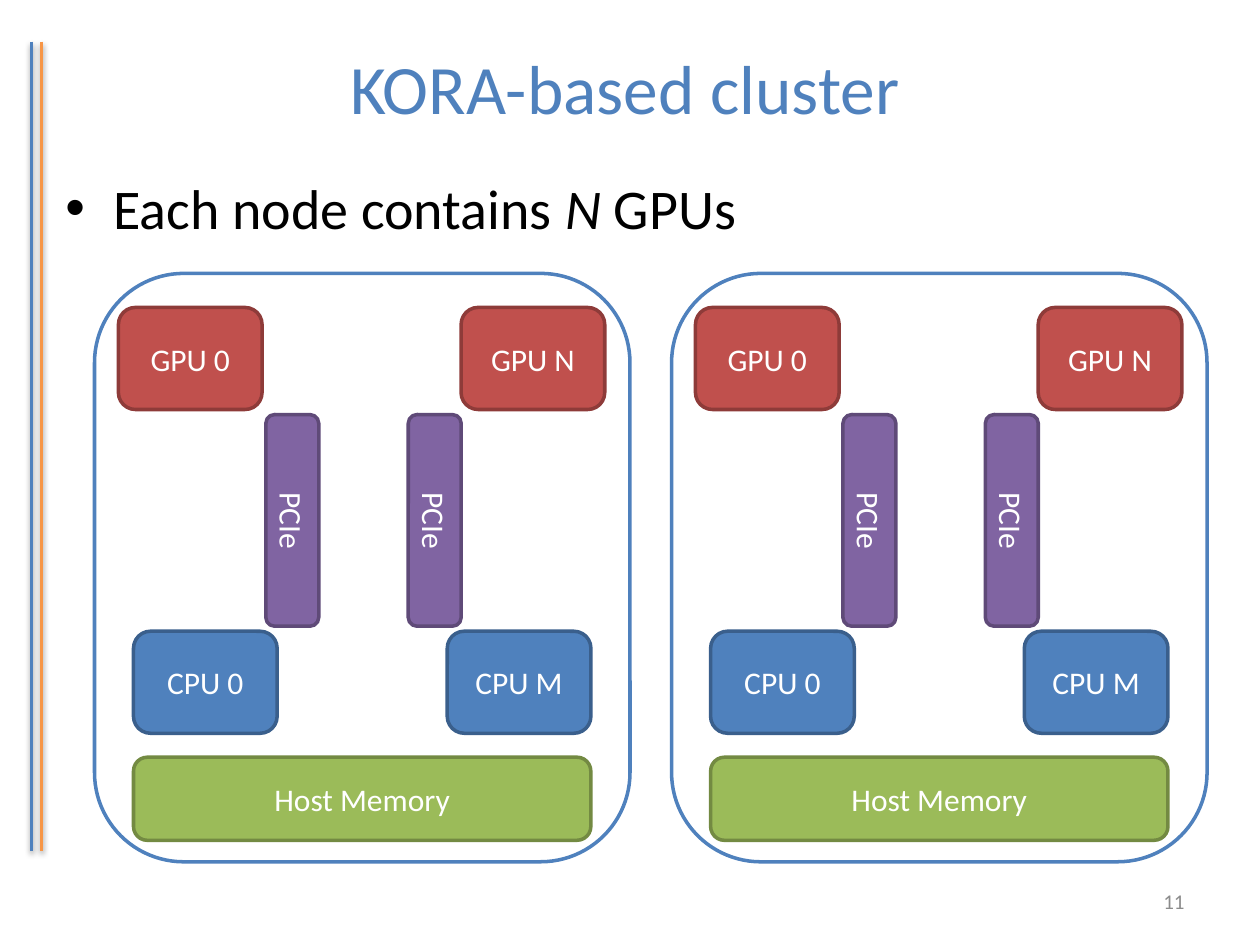
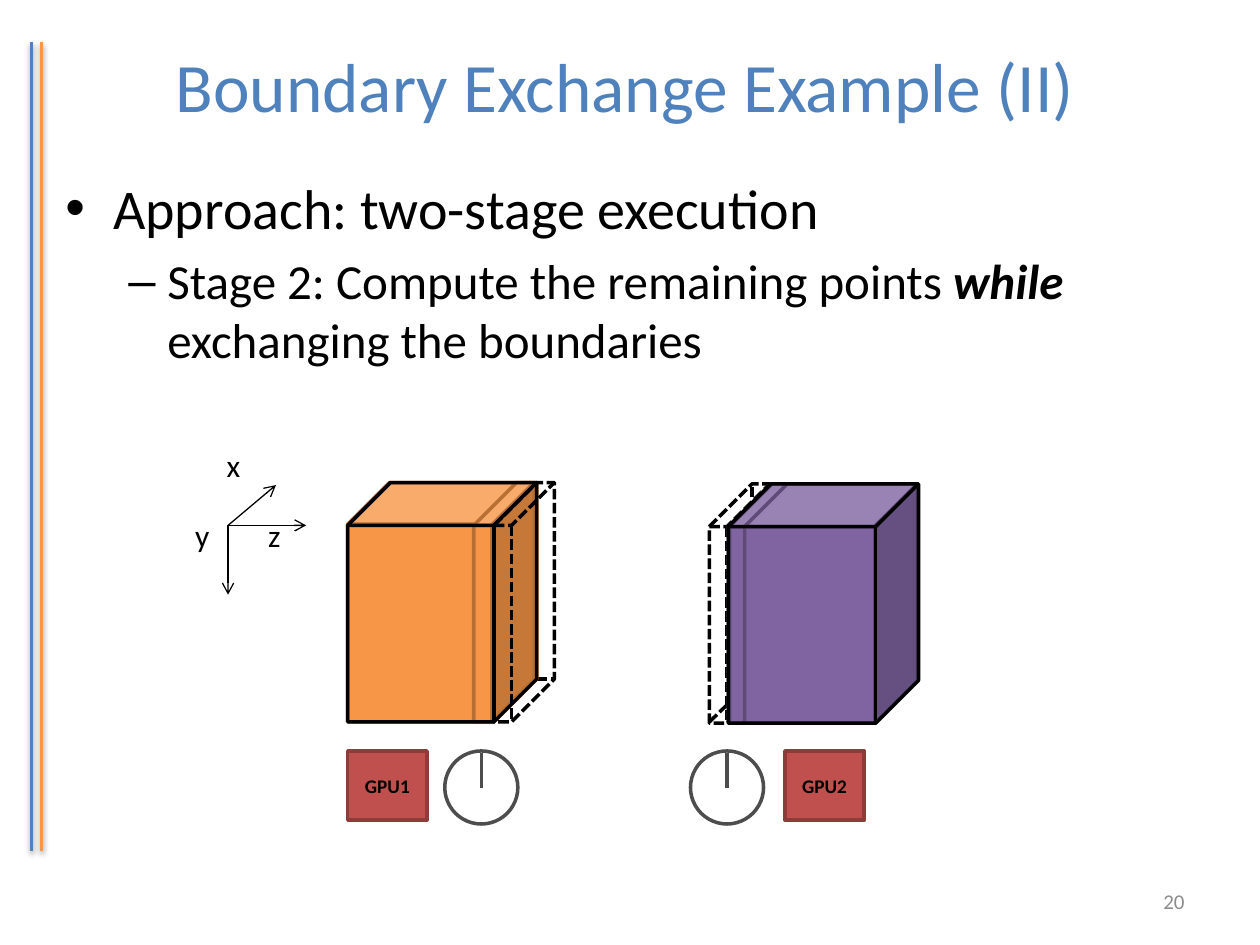
from lxml import etree
from pptx import Presentation
from pptx import util as u
from pptx.dml.color import RGBColor
from pptx.enum import dml, shapes, text
from pptx.oxml.ns import qn

PX = 9144
FONT = "Calibri"
KIND = shapes.MSO_SHAPE
MIDDLE = text.MSO_ANCHOR.MIDDLE
TOP = text.MSO_ANCHOR.TOP
CENTER = text.PP_ALIGN.CENTER
COLORS = {
    "blue": "4F81BD", "blue_edge": "3A5F8C",
    "orange": "F79646", "orange_edge": "B76F34",
    "red": "C0504D", "red_edge": "8E3B39",
    "purple": "8064A2", "purple_edge": "5F4A78",
    "green": "9BBB59", "green_edge": "738A42",
    "black": "000000", "white": "FFFFFF",
    "clock": "4D4D4D", "number": "8C8C8C",
}
BULLETS = [("•", 38, -38), ("–", 81, -31)]


def rgb(name):
    return RGBColor.from_string(COLORS[name])


def px(*values):
    return [v * PX for v in values]


def add_run(p, words, size, color="black", bold=False, italic=False):
    r = p.add_run()
    r.text = words
    r.font.name = FONT
    r.font.size = u.Pt(size)
    r.font.bold = bold
    r.font.italic = italic
    r.font.color.rgb = rgb(color)


def style_line(line, color, weight, dashed=False):
    line.color.rgb = rgb(color)
    line.width = u.Pt(weight)
    if dashed:
        line.dash_style = dml.MSO_LINE.SQUARE_DOT


def add_shape(parts, kind, box, fill, edge, dashed=False, adj=None):
    s = parts.add_shape(kind, *px(*box))
    s.shadow.inherit = False
    if fill:
        s.fill.solid()
        s.fill.fore_color.rgb = rgb(fill)
    else:
        s.fill.background()
    style_line(s.line, edge, 2, dashed)
    if adj is not None:
        s.adjustments[0] = adj
    return s


def add_block(parts, kind, box, color, words, size=18, ink="white", bold=False):
    s = add_shape(parts, kind, box, color, color + "_edge")
    tf = s.text_frame
    tf.vertical_anchor = MIDDLE
    tf.paragraphs[0].alignment = CENTER
    add_run(tf.paragraphs[0], words, size, ink, bold)
    return s


def add_line(parts, start, end, color, weight=2, dashed=False, arrow=False, shadow=False):
    c = parts.add_connector(shapes.MSO_CONNECTOR.STRAIGHT, *px(*start, *end))
    style_line(c.line, color, weight, dashed)
    spPr = c._element.spPr
    if arrow:
        etree.SubElement(spPr.find(qn("a:ln")), qn("a:tailEnd"), type="arrow")
    effects = etree.SubElement(spPr, qn("a:effectLst"))
    if shadow:
        outer = etree.SubElement(effects, qn("a:outerShdw"), blurRad="40000",
                                 dist="20000", dir="5400000", rotWithShape="0")
        ink = etree.SubElement(outer, qn("a:srgbClr"), val=COLORS["black"])
        etree.SubElement(ink, qn("a:alpha"), val="38000")


def add_text(parts, box, anchor=TOP, wrap=True):
    tf = parts.add_textbox(*px(*box)).text_frame
    tf.word_wrap = wrap
    tf.vertical_anchor = anchor
    return tf


def add_body(slide, box, paragraphs):
    tf = add_text(slide.shapes, box)
    for i, (level, runs) in enumerate(paragraphs):
        p = tf.add_paragraph() if i else tf.paragraphs[0]
        p.level = level
        mark, margin, indent = BULLETS[level]
        pPr = p._p.get_or_add_pPr()
        pPr.set("marL", str(margin * PX))
        pPr.set("indent", str(indent * PX))
        before = etree.SubElement(pPr, qn("a:spcBef"))
        etree.SubElement(before, qn("a:spcPct"), val="20000")
        etree.SubElement(pPr, qn("a:buFont"), typeface="Arial")
        etree.SubElement(pPr, qn("a:buChar"), char=mark)
        for words, bold, italic in runs:
            add_run(p, words, 28 if level else 32, bold=bold, italic=italic)


def add_slide(prs, title, number, anchor, margins):
    slide = prs.slides.add_slide(prs.slide_layouts[5])
    for x, color in ((25, "blue"), (33, "orange")):
        add_line(slide.shapes, (x, 33), (x, 675), color, shadow=True)
    s = slide.shapes.title
    s.left, s.top, s.width, s.height = px(42, 30, 908, 78)
    tf = s.text_frame
    tf.auto_size = text.MSO_AUTO_SIZE.NONE
    tf.word_wrap = True
    tf.vertical_anchor = anchor
    tf.margin_left = tf.margin_right = margins[0] * PX
    tf.margin_top = tf.margin_bottom = margins[1] * PX
    tf.paragraphs[0].alignment = CENTER
    add_run(tf.paragraphs[0], title, 39.6, "blue")
    p = add_text(slide.shapes, (892, 695, 58, 40), MIDDLE).paragraphs[0]
    p.alignment = text.PP_ALIGN.RIGHT
    add_run(p, number, 12, "number")
    return slide


def add_node(slide, x, y):
    parts = slide.shapes.add_group_shape().shapes
    blocks = [
        (19, 27, 114, 81, "red", "GPU 0"),
        (291, 27, 114, 81, "red", "GPU N"),
        (136, 112, 42, 168, "purple", "PCIe"),
        (249, 112, 42, 168, "purple", "PCIe"),
        (31, 284, 114, 81, "blue", "CPU 0"),
        (280, 284, 114, 81, "blue", "CPU M"),
        (31, 384, 363, 66, "green", "Host Memory"),
    ]
    for dx, dy, w, h, color, words in blocks:
        s = add_block(parts, KIND.ROUNDED_RECTANGLE, (x + dx, y + dy, w, h), color, words)
        if h > w:
            s.text_frame._txBody.bodyPr.set("vert", "vert")
    add_shape(parts, KIND.ROUNDED_RECTANGLE, (x, y, 425, 467), None, "blue")


def add_axes(slide, x, y):
    for dx, dy in ((62, 0), (0, 55), (38, -32)):
        add_line(slide.shapes, (x, y), (x + dx, y + dy), "black", 0.75, arrow=True)
    for name, dx, dy in (("x", -11, -68), ("y", -36, -12), ("z", 22, -12)):
        tf = add_text(slide.shapes, (x + dx, y + dy, 31, 40), wrap=False)
        add_run(tf.paragraphs[0], name, 18)


def add_domain(slide, x, y, lines, cubes):
    for x1, y1, x2, y2 in lines:
        add_line(slide.shapes, (x + x1, y + y1), (x + x2, y + y2), "black", dashed=True)
    for dx, w, depth, color in cubes:
        solid = color not in ("ghost", "outline")
        add_shape(slide.shapes, KIND.CUBE, (x + dx, y, w, 190), color if solid else None,
                  color + "_edge" if solid else "black", color == "ghost", depth / w)


def add_gpu(slide, x, y, words, clock_dx):
    add_block(slide.shapes, KIND.RECTANGLE, (x, y, 63, 55), "red", words, 11, "black", True)
    parts = slide.shapes.add_group_shape().shapes
    left = x + clock_dx
    add_shape(parts, KIND.OVAL, (left, y, 58, 58), None, "clock")
    add_line(parts, (left + 29, y + 29), (left + 29, y + 2), "clock")


def build_cluster(prs):
    slide = add_slide(prs, "KORA-based cluster", "11", MIDDLE, (10, 5))
    add_body(slide, (42, 133, 908, 105), [
        (0, [("Each node contains ", False, False), ("N", False, True),
             (" GPUs", False, False)]),
    ])
    for x in (533, 75):
        add_node(slide, x, 217)


def build_exchange(prs):
    slide = add_slide(prs, "Boundary Exchange Example (II)", "20", TOP, (7, 4))
    add_body(slide, (42, 133, 908, 537), [
        (0, [("Approach: two-stage execution", False, False)]),
        (1, [("Stage 2: Compute the remaining points ", False, False),
             ("while", True, True), (" exchanging the boundaries", False, False)]),
    ])
    add_gpu(slide, 276, 596, "GPU1", 77)
    add_gpu(slide, 623, 596, "GPU2", -75)
    add_axes(slide, 181, 417)
    add_domain(slide, 276, 383, [(150, 156, 164, 156)], [
        (102, 48, 34, "orange"), (0, 135, 33, "orange"), (100, 48, 34, "orange"),
        (0, 150, 34, "outline"), (116, 48, 34, "ghost"),
    ])
    add_domain(slide, 563, 384, [(34, 156, 34, 0), (0, 189, 34, 156)], [
        (0, 48, 34, "ghost"), (15, 48, 34, "purple"), (16, 48, 34, "purple"),
        (28, 137, 34, "purple"), (15, 151, 34, "outline"),
    ])


def main():
    prs = Presentation()
    prs.slide_width, prs.slide_height = px(1000, 750)
    build_cluster(prs)
    build_exchange(prs)
    prs.save("out.pptx")


if __name__ == "__main__":
    main()
